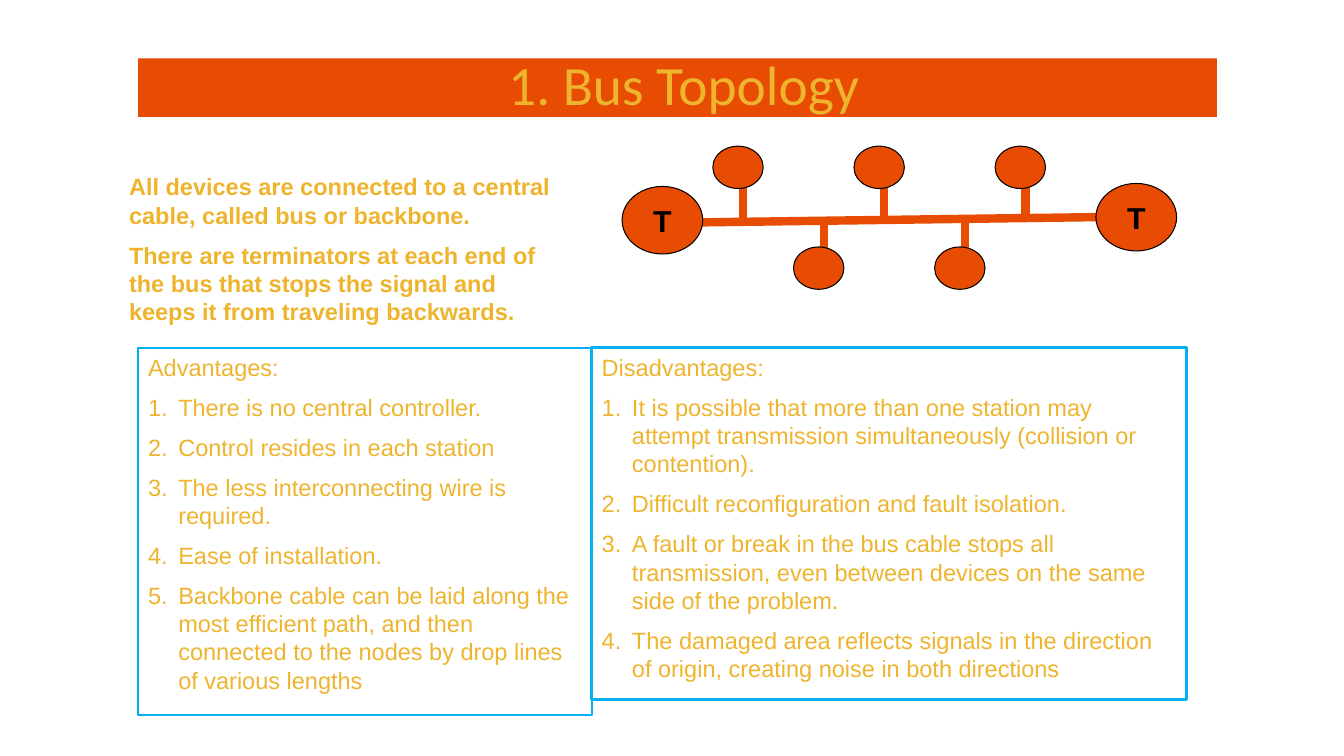
from pptx import Presentation
from pptx.dml.color import RGBColor
from pptx.enum.shapes import MSO_CONNECTOR, MSO_SHAPE
from pptx.enum.text import MSO_ANCHOR, PP_ALIGN
from pptx.oxml.ns import qn
from pptx.util import Inches, Pt
from lxml.etree import SubElement

COLORS = {"orange": "E84B02", "gold": "EEB42D", "cyan": "00B0F0", "black": "000000"}

presentation = Presentation()
presentation.slide_width = Inches(13.33)
presentation.slide_height = Inches(7.5)
slide = presentation.slides.add_slide(presentation.slide_layouts[6])


def add_box(preset, left, top, width, height, fill=None, line=None, line_width=0.75):
    shape = slide.shapes.add_shape(
        preset, Inches(left), Inches(top), Inches(width), Inches(height))
    shape.shadow.inherit = False
    if fill:
        shape.fill.solid()
        shape.fill.fore_color.rgb = RGBColor.from_string(COLORS[fill])
    else:
        shape.fill.background()
    if line:
        shape.line.color.rgb = RGBColor.from_string(COLORS[line])
        shape.line.width = Pt(line_width)
    else:
        shape.line.fill.background()
    return shape


def write(shape, paragraphs, size=16.8, font="Arial", color="gold", bold=False,
          align=PP_ALIGN.LEFT, anchor=MSO_ANCHOR.TOP, inset=(0.1, 0.05),
          wrap=True, line_spacing=None, numbered=False):
    """Fill a shape with paragraphs; numbered counts all but the first one."""
    frame = shape.text_frame
    frame.word_wrap = wrap
    frame.vertical_anchor = anchor
    frame.margin_left = frame.margin_right = Inches(inset[0])
    frame.margin_top = frame.margin_bottom = Inches(inset[1])
    for index, text in enumerate(paragraphs):
        paragraph = frame.paragraphs[0] if index == 0 else frame.add_paragraph()
        paragraph.alignment = align
        paragraph.line_spacing = line_spacing
        if index:
            paragraph.space_before = Pt(size / 2)
        if numbered and index:
            properties = paragraph._p.get_or_add_pPr()
            properties.set("marL", str(Inches(0.3)))
            properties.set("indent", str(-Inches(0.3)))
            SubElement(properties, qn("a:buFont"), typeface="+mj-lt")
            SubElement(properties, qn("a:buAutoNum"), type="arabicPeriod")
        run = paragraph.add_run()
        run.text = text
        run.font.size = Pt(size)
        run.font.name = font
        run.font.bold = bold
        run.font.color.rgb = RGBColor.from_string(COLORS[color])


title = add_box(MSO_SHAPE.RECTANGLE, 1.37, 0.58, 10.7, 0.58, fill="orange")
write(title, [" 1. Bus Topology"], size=39.6, font="Calibri", align=PP_ALIGN.CENTER,
      anchor=MSO_ANCHOR.MIDDLE, line_spacing=0.9)

# Bus cable and drop lines: start x, start y, end x, end y
cables = [(6.67, 2.21, 11.17, 2.15)]
cables += [(x, top, x, top + 0.33) for x, top in
           [(7.37, 1.85), (8.77, 1.85), (10.17, 1.82), (8.17, 2.15), (9.57, 2.15)]]
for cable in cables:
    connector = slide.shapes.add_connector(
        MSO_CONNECTOR.STRAIGHT, *[Inches(value) for value in cable])
    connector.line.color.rgb = RGBColor.from_string(COLORS["orange"])
    connector.line.width = Pt(6)
    SubElement(connector._element.spPr, qn("a:effectLst"))

for left, top in [(6.17, 1.85), (10.87, 1.82)]:
    terminator = add_box(MSO_SHAPE.OVAL, left, top, 0.8, 0.67, "orange", "black")
    write(terminator, ["T"], size=21.6, color="black", bold=True, wrap=False,
          align=PP_ALIGN.CENTER, anchor=MSO_ANCHOR.MIDDLE, inset=(0.11, 0.06))

for first_left, top, count in [(7.07, 1.45, 3), (7.87, 2.45, 2)]:
    for column in range(count):
        add_box(MSO_SHAPE.OVAL, first_left + 1.4 * column, top, 0.5, 0.42, "orange", "black")

description = slide.shapes.add_textbox(Inches(1.17), Inches(1.65), Inches(4.5), Inches(1.67))
write(description, [
    "All devices are connected to a central cable, called bus or backbone.",
    "There are terminators at each end of the bus that stops the signal and "
    "keeps it from traveling backwards.",
], bold=True, inset=(0.11, 0.06))

disadvantages = add_box(MSO_SHAPE.RECTANGLE, 5.87, 3.45, 5.9, 3.49, line="cyan", line_width=2.25)
write(disadvantages, [
    "Disadvantages:",
    "It is possible that more than one station may attempt transmission "
    "simultaneously (collision or contention).",
    "Difficult reconfiguration and fault isolation.",
    "A fault or break in the bus cable stops all transmission, even between "
    "devices on the same side of the problem.",
    "The damaged area reflects signals in the direction of origin, creating "
    "noise in both directions",
], numbered=True)

advantages = add_box(MSO_SHAPE.RECTANGLE, 1.37, 3.45, 4.5, 3.64, line="cyan", line_width=1.5)
write(advantages, [
    "Advantages:",
    "There is no central controller.",
    "Control resides in each station",
    "The less interconnecting wire is required.",
    "Ease of installation.",
    "Backbone cable can be laid along the most efficient path, and then "
    "connected to the nodes by drop lines of various lengths",
], numbered=True)

presentation.save("out.pptx")
